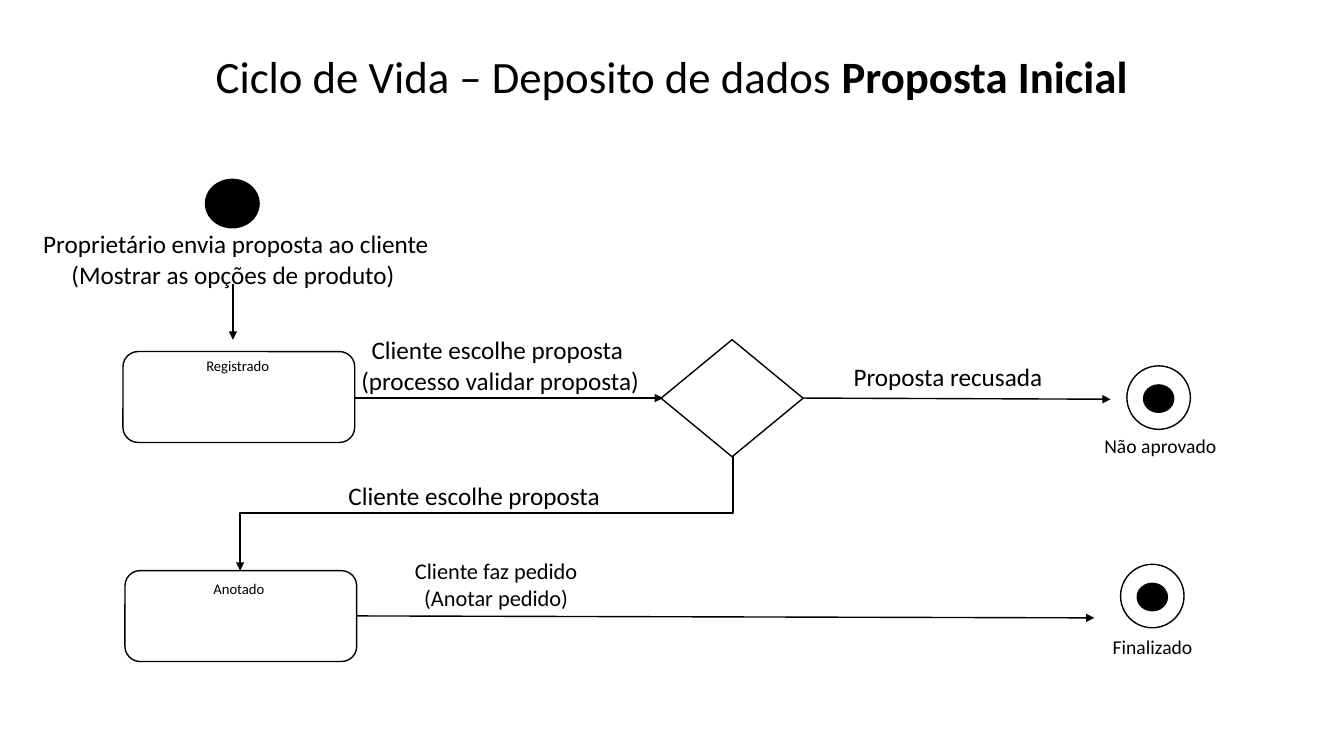
from pptx import Presentation
from pptx.dml.color import RGBColor
from pptx.enum import shapes as kinds, text as text_enum
from pptx.oxml.ns import qn
from pptx.util import Cm, Pt
from lxml import etree

COLORS = {"ink": "000000", "paper": "FFFFFF"}
FONT = "Calibri"

TITLE = [("Ciclo de Vida – Deposito de dados ", False), ("Proposta Inicial ", True)]
TITLE_BOX = (5.18, 1.09, 23.75, 1.63)

# Lengths are in centimetres: left, top, width, height
START = (5.18, 4.52, 1.35, 1.22)
DECISION = (16.66, 8.56, 3.58, 2.95)
STATE_SIZE = (5.84, 2.29)
STATES = [(3.1, 8.86), (3.15, 14.38)]
END_SIZE = (1.6, 1.6)
END_CORE = (0.42, 0.48, 0.76, 0.69)
ENDS = [(28.4, 9.22), (28.24, 14.22)]

# Lines, box, format
LABELS = [
    (["Proprietário envia proposta ao cliente", "(Mostrar as opções de produto) "],
     (0.84, 5.64, 10.34, 1.8), {"aligns": "lc"}),
    (["Registrado"], (4.95, 8.86, 2.13, 0.71), {"size": 10.5}),
    (["Cliente escolhe proposta ", "(processo validar proposta)"],
     (8.81, 8.31, 7.59, 1.8), {"aligns": "cc"}),
    (["Cliente escolhe proposta"], (8.53, 11.99, 6.93, 1.02), {}),
    (["Anotado"], (5.13, 14.48, 1.83, 1.14), {"size": 10.5}),
    (["Proposta recusada"], (21.26, 8.99, 5.31, 1.02), {}),
    (["Não aprovado"], (27.58, 10.82, 3.35, 0.86), {"size": 14}),
    (["Cliente faz pedido", "(Anotar pedido)"], (10.13, 13.92, 4.75, 1.63),
     {"size": 16, "aligns": "cc", "wrap": True}),
    (["Finalizado"], (27.79, 15.88, 2.54, 0.86), {"size": 14}),
]

# From x, y to x, y
ARROWS = [
    (5.87, 7.16, 5.87, 8.56),
    (8.92, 10.03, 16.71, 10.03),
    (20.22, 10.03, 27.99, 10.06),
    (8.97, 15.52, 27.58, 15.57),
]
RETURN_ARROW = (18.47, 11.48, 6.05, 14.38)

ALIGNMENTS = {"l": text_enum.PP_ALIGN.LEFT, "c": text_enum.PP_ALIGN.CENTER}


def color(name):
    """Return the named colour."""
    return RGBColor.from_string(COLORS[name])


def lengths(values):
    """Turn numbers in centimetres into lengths."""
    return [Cm(value) for value in values]


def add_run(paragraph, words, size=18, bold=False):
    """Append formatted words to a paragraph."""
    run = paragraph.add_run()
    run.text = words
    run.font.name, run.font.size, run.font.bold = FONT, Pt(size), bold
    run.font.color.rgb = color("ink")


def add_label(slide, lines, box, size=18, aligns="l", wrap=False):
    """Add a text box with one paragraph per line."""
    frame = slide.shapes.add_textbox(*lengths(box)).text_frame
    frame.word_wrap = wrap
    frame.auto_size = text_enum.MSO_AUTO_SIZE.SHAPE_TO_FIT_TEXT
    for index, (line, align) in enumerate(zip(lines, aligns)):
        paragraph = frame.add_paragraph() if index else frame.paragraphs[0]
        paragraph.alignment = ALIGNMENTS[align]
        add_run(paragraph, line, size=size)


def add_node(slide, kind, box, fill="paper"):
    """Add an outlined preset shape."""
    shape = slide.shapes.add_shape(kind, *lengths(box))
    shape.shadow.inherit = False
    shape.fill.solid()
    shape.fill.fore_color.rgb = color(fill)
    shape.line.color.rgb = color("ink")
    shape.line.width = Pt(1)


def add_arrow(slide, kind, ends):
    """Add a thin connector with a triangle at its end."""
    connector = slide.shapes.add_connector(kind, *lengths(ends))
    connector.line.color.rgb = color("ink")
    connector.line.width = Pt(1)
    properties = connector._element.spPr
    line = properties.find(qn("a:ln"))
    etree.SubElement(line, qn("a:tailEnd"), type="triangle")
    etree.SubElement(properties, qn("a:effectLst"))
    return connector


def add_vertical_elbow(slide, ends):
    """Add an elbow that leaves and arrives vertically, as a quarter turn."""
    x1, y1, x2, y2 = ends
    middle_x, middle_y = (x1 + x2) / 2, (y1 + y2) / 2
    half_x, half_y = abs(x2 - x1) / 2, abs(y2 - y1) / 2
    turned = (middle_x - half_y, middle_y - half_x,
              middle_x + half_y, middle_y + half_x)
    add_arrow(slide, kinds.MSO_CONNECTOR.ELBOW, turned).rotation = 90


def add_title(slide):
    """Place and fill the title placeholder."""
    title = slide.shapes.title
    title.left, title.top, title.width, title.height = lengths(TITLE_BOX)
    frame = title.text_frame
    frame.word_wrap = True
    frame.auto_size = text_enum.MSO_AUTO_SIZE.NONE
    frame.vertical_anchor = text_enum.MSO_ANCHOR.TOP
    paragraph = frame.paragraphs[0]
    paragraph.alignment = ALIGNMENTS["l"]
    for words, bold in TITLE:
        add_run(paragraph, words, size=32, bold=bold)


def main():
    """Build the life cycle slide and save it."""
    presentation = Presentation()
    presentation.slide_width, presentation.slide_height = Cm(33.87), Cm(19.05)
    slide = presentation.slides.add_slide(presentation.slide_layouts[5])
    add_title(slide)

    preset = kinds.MSO_SHAPE
    add_node(slide, preset.OVAL, START, fill="ink")
    for corner in STATES:
        add_node(slide, preset.ROUNDED_RECTANGLE, corner + STATE_SIZE)
    add_node(slide, preset.DIAMOND, DECISION)
    for left, top in ENDS:
        add_node(slide, preset.OVAL, (left, top) + END_SIZE)
        inset_x, inset_y, width, height = END_CORE
        add_node(slide, preset.OVAL,
                 (left + inset_x, top + inset_y, width, height), fill="ink")

    for lines, box, style in LABELS:
        add_label(slide, lines, box, **style)
    for ends in ARROWS:
        add_arrow(slide, kinds.MSO_CONNECTOR.STRAIGHT, ends)
    add_vertical_elbow(slide, RETURN_ARROW)

    presentation.save("out.pptx")


main()
